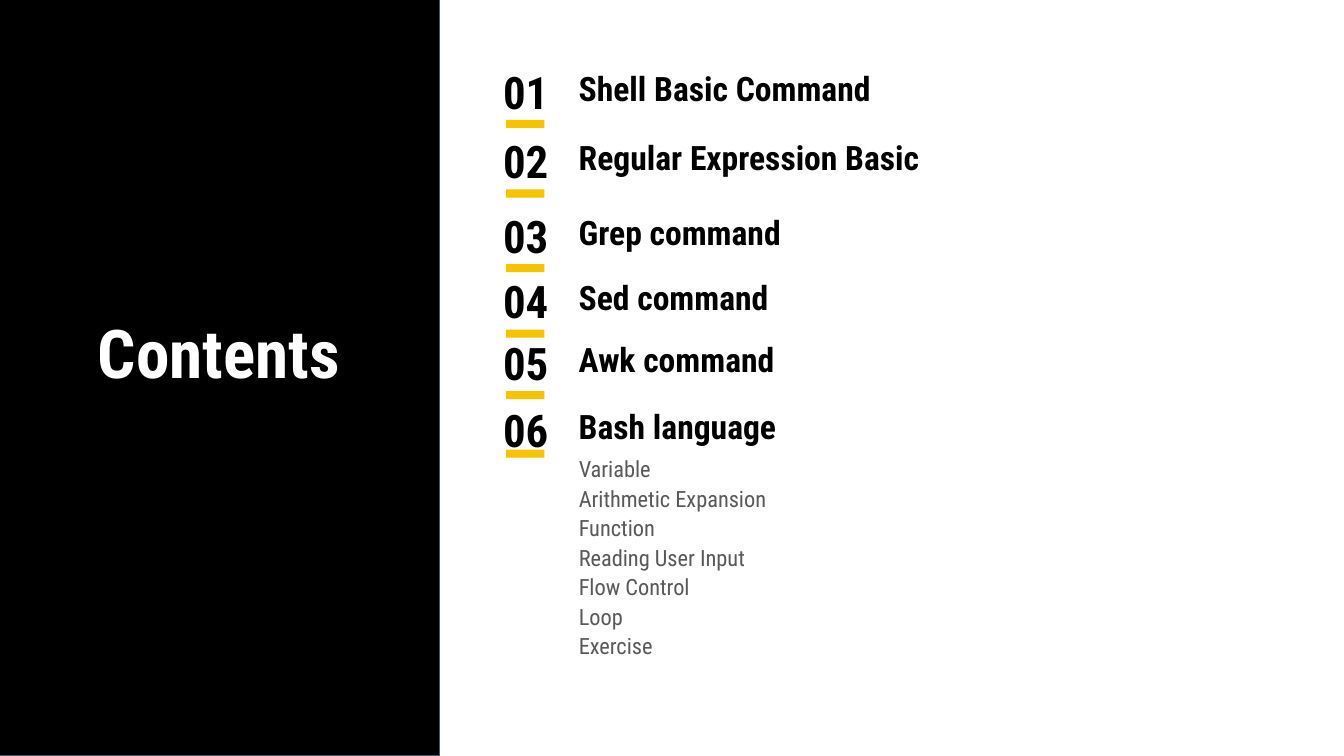
from collections import namedtuple
from dataclasses import dataclass

from lxml import etree
from pptx import Presentation
from pptx import util as u
from pptx.dml.color import RGBColor
from pptx.enum import shapes, text
from pptx.oxml import ns

Box = namedtuple("Box", "left top width height")


@dataclass(frozen=True)
class Theme:
    """Hold the colours, type sizes and font of the slide."""
    font: str = "Roboto Condensed"
    black: str = "000000"
    white: str = "FFFFFF"
    gold: str = "F5C300"
    grey: str = "595959"
    edge: str = "44546A"
    title: int = 48
    number: int = 32
    head: int = 24
    body: int = 16


THEME = Theme()
HEADS = [
    ("Shell Basic Command", 0.67),
    ("Regular Expression Basic", 1.36),
    ("Grep command", 2.1),
    ("Sed command", 2.75),
    ("Awk command", 3.36),
    ("Bash language", 4.03),
]
TOPICS = ["Variable", "Arithmetic Expansion", "Function", "Reading User Input",
          "Flow Control", "Loop", "Exercise"]
BAR_DROP, LAST_DROP = 0.52, 0.43


def place(shape, box):
    """Move a shape to a box given in inches."""
    shape.left, shape.top, shape.width, shape.height = map(u.Inches, box)


def write(shape, lines, size, color, bold=True, align=text.PP_ALIGN.LEFT,
          anchor=text.MSO_ANCHOR.TOP, pad=(0, 0), spacing=1.0):
    """Fill a shape with plain paragraphs in one format."""
    frame = shape.text_frame
    frame.word_wrap = True
    frame.auto_size = text.MSO_AUTO_SIZE.NONE
    frame.vertical_anchor = anchor
    frame.margin_left = frame.margin_right = u.Inches(pad[0])
    frame.margin_top = frame.margin_bottom = u.Inches(pad[1])
    frame.text = "\n".join(lines)
    for para in frame.paragraphs:
        props = para._p.get_or_add_pPr()
        props.set("marL", "0")
        props.set("indent", "0")
        etree.SubElement(props, ns.qn("a:buNone"))
        para.alignment = align
        para.line_spacing = spacing
        para.space_before = u.Pt(0)
        font = para.runs[0].font
        font.name, font.size, font.bold = THEME.font, u.Pt(size), bold
        font.color.rgb = RGBColor.from_string(color)


def add_block(slide, box, color):
    """Add a plain filled rectangle without an outline."""
    block = slide.shapes.add_shape(shapes.MSO_SHAPE.RECTANGLE, *map(u.Inches, box))
    block.shadow.inherit = False
    block.fill.solid()
    block.fill.fore_color.rgb = RGBColor.from_string(color)
    block.line.fill.background()
    return block


def add_label(slide, box, label, **style):
    """Add a text box holding one line."""
    write(slide.shapes.add_textbox(*map(u.Inches, box)), [label], **style)


def add_panel(slide, box):
    """Draw the dark side panel with the slide title on it."""
    panel = add_block(slide, box, THEME.black)
    panel.line.color.rgb = RGBColor.from_string(THEME.edge)
    panel.line.width = u.Pt(0.75)
    slide.shapes._spTree.insert(2, panel._element)
    title = slide.shapes.title
    place(title, Box(box.left + 0.52, box.top + 1.12, 3.3, 4.84))
    write(title, ["Contents"], THEME.title, THEME.white, align=text.PP_ALIGN.CENTER,
          anchor=text.MSO_ANCHOR.MIDDLE, pad=(0.1, 0.05), spacing=0.9)


def add_entry(slide, box, number, head, drop):
    """Draw one numbered heading with its gold bar."""
    add_label(slide, Box(box.left + 0.93, box.top, box.width - 0.93, box.height), head,
              size=THEME.head, color=THEME.black)
    add_label(slide, Box(box.left, box.top - 0.05, 0.81, 0.57), f"{number:02d}",
              size=THEME.number, color=THEME.black, align=text.PP_ALIGN.CENTER,
              anchor=text.MSO_ANCHOR.MIDDLE, pad=(0.13, 0.13))
    add_block(slide, Box(box.left + 0.21, box.top + drop, 0.38, 0.08), THEME.gold)


def add_list(slide, box):
    """Draw all numbered headings and the topics under the last one."""
    for number, (head, top) in enumerate(HEADS, 1):
        drop = LAST_DROP if number == len(HEADS) else BAR_DROP
        add_entry(slide, Box(box.left, box.top + top, box.width, 0.37), number, head, drop)
    body = slide.placeholders[1]
    place(body, Box(box.left + 0.93, box.top + 4.49, 6.77, 2.11))
    write(body, TOPICS, THEME.body, THEME.grey, bold=False, spacing=1.1)


def main():
    """Build the contents slide and save it."""
    deck = Presentation()
    deck.slide_width, deck.slide_height = u.Inches(13.33), u.Inches(7.5)
    slide = deck.slides.add_slide(deck.slide_layouts[1])
    add_panel(slide, Box(0, 0, 4.36, 7.5))
    add_list(slide, Box(4.81, 0, 8.5, 7.5))
    deck.save("out.pptx")


if __name__ == "__main__":
    main()
